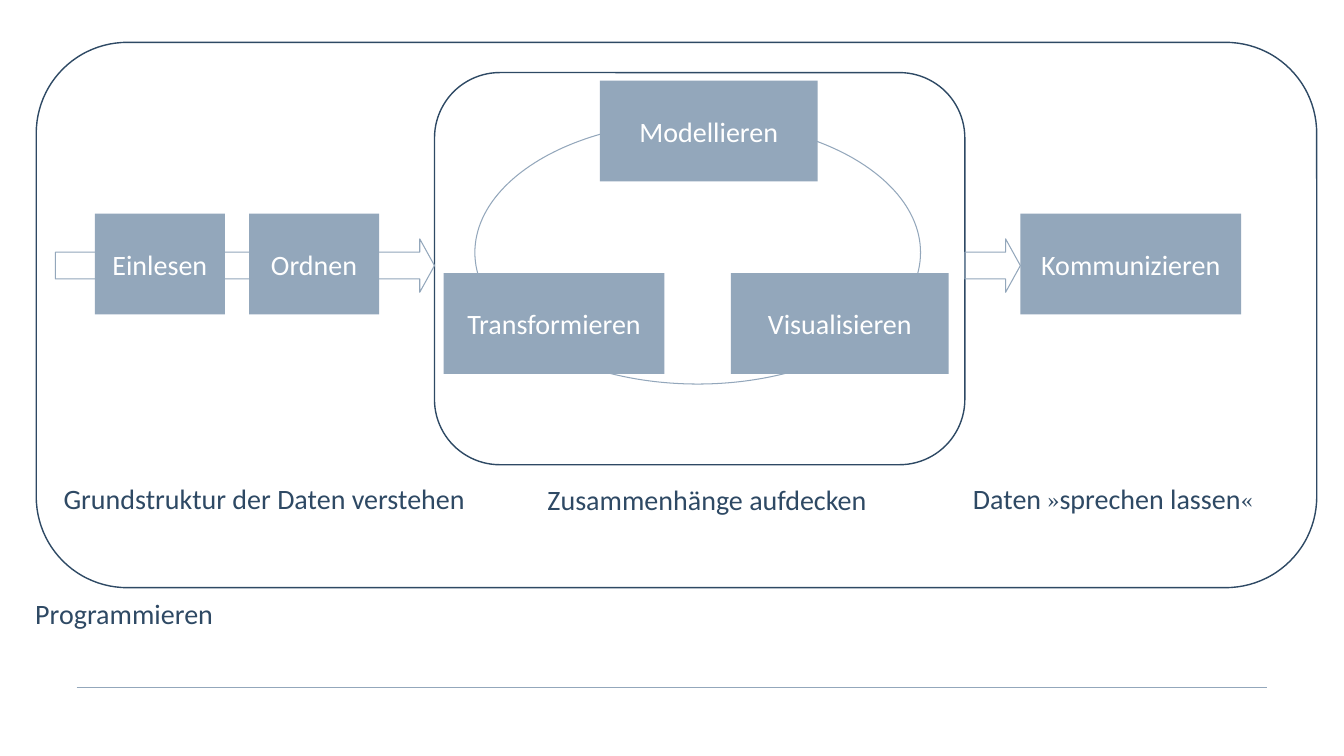
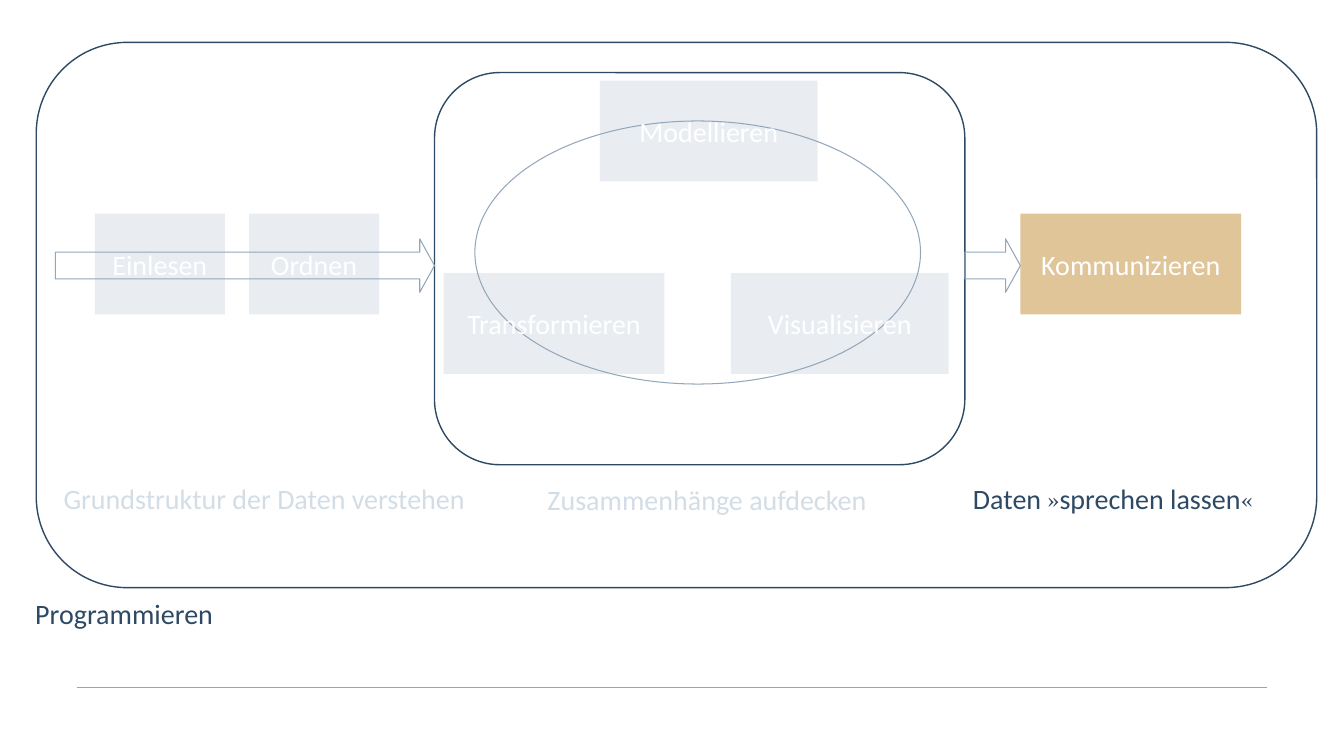
"""Build two views of the data analysis cycle, the second stressing communication."""
from dataclasses import dataclass

from lxml import etree
from pptx import Presentation
from pptx import util as u
from pptx.dml.color import RGBColor
from pptx.enum import shapes, text
from pptx.oxml.ns import qn


@dataclass(frozen=True)
class Theme:
    navy: RGBColor = RGBColor.from_string("2E4964")
    steel: RGBColor = RGBColor.from_string("93A7BB")
    pale: RGBColor = RGBColor.from_string("D3DDE6")
    sand: RGBColor = RGBColor.from_string("E0C599")
    white: RGBColor = RGBColor.from_string("FFFFFF")
    font: str = "Calibri"
    quote_font: str = "TeX Gyre Schola"
    size: u.Length = u.Pt(20)
    inset: u.Length = u.Inches(0.08)
    frame_width: u.Length = u.Pt(1)
    thin_width: u.Length = u.Pt(0.75)
    faded_opacity: int = 20


THEME = Theme()
PRESET = shapes.MSO_SHAPE
STEP_HEIGHT = 1
ARROW_TOP, ARROW_HEIGHT = 2.37, 0.53
LABEL_HEIGHT = 0.5
CYCLE_LEFT, CYCLE_WIDTH = 4.31, 5.26
CYCLE_RIGHT = CYCLE_LEFT + CYCLE_WIDTH
FOCUS_STEP = "Kommunizieren"
FOCUS_LABEL = "Daten »sprechen lassen«"

STEPS = [
    ("Einlesen", 0.94, 2.12, 1.29),
    ("Ordnen", 2.47, 2.12, 1.29),
    ("Transformieren", 4.4, 2.71, 2.19),
    ("Modellieren", 5.95, 0.8, 2.16),
    ("Visualisieren", 7.25, 2.71, 2.16),
    (FOCUS_STEP, 10.12, 2.12, 2.19),
]
LABELS = [
    ("Grundstruktur der Daten verstehen", 0.55, 4.7, 4.29),
    (FOCUS_LABEL, CYCLE_RIGHT, 4.7, 3.01),
    ("Zusammenhänge aufdecken", 5.35, 4.71, 3.36),
]


def inches(*lengths):
    return [u.Inches(length) for length in lengths]


def add_outline(slide, preset, box, color, width):
    shape = slide.shapes.add_shape(preset, *inches(*box))
    shape.shadow.inherit = False
    shape.fill.background()
    shape.line.color.rgb = color
    shape.line.width = width
    return shape


def add_arrow(slide, left, right):
    box = (left, ARROW_TOP, right - left, ARROW_HEIGHT)
    arrow = add_outline(slide, PRESET.RIGHT_ARROW, box, THEME.steel, THEME.thin_width)
    arrow.adjustments[1] = 0.276


def set_insets(frame):
    frame.margin_left = frame.margin_right = THEME.inset
    frame.margin_top = frame.margin_bottom = THEME.inset


def style_font(font, color):
    font.name = THEME.font
    font.size = THEME.size
    font.color.rgb = color


def set_opacity(shape, percent):
    color = next(shape.element.spPr.iter(qn("a:srgbClr")))
    etree.SubElement(color, qn("a:alpha")).set("val", str(percent * 1000))


def add_step(slide, caption, left, top, width, color, faded):
    step = slide.shapes.add_shape(PRESET.RECTANGLE, *inches(left, top, width, STEP_HEIGHT))
    step.shadow.inherit = False
    step.fill.solid()
    step.fill.fore_color.rgb = color
    step.line.fill.background()
    if faded:
        set_opacity(step, THEME.faded_opacity)
    frame = step.text_frame
    set_insets(frame)
    frame.vertical_anchor = text.MSO_ANCHOR.MIDDLE
    paragraph = frame.paragraphs[0]
    paragraph.text = caption
    paragraph.alignment = text.PP_ALIGN.CENTER
    style_font(paragraph.font, THEME.white)


def split_quotes(caption):
    """Split a caption into words and guillemets, which have their own font."""
    return [part for part in caption.replace("»", "|»|").replace("«", "|«|").split("|") if part]


def add_label(slide, caption, left, top, width, color):
    frame = slide.shapes.add_textbox(*inches(left, top, width, LABEL_HEIGHT)).text_frame
    set_insets(frame)
    frame.word_wrap = False
    frame.auto_size = text.MSO_AUTO_SIZE.SHAPE_TO_FIT_TEXT
    paragraph = frame.paragraphs[0]
    style_font(paragraph.font, color)
    for part in split_quotes(caption):
        run = paragraph.add_run()
        run.text = part
        style_font(run.font, color)
        if part in "»«":
            run.font.name = THEME.quote_font


def add_footer_rule(slide):
    """Draw the footer rule and move it to the layout that all slides share."""
    rule = slide.shapes.add_connector(shapes.MSO_CONNECTOR.STRAIGHT, *inches(0.76, 6.82, 12.57, 6.82))
    rule.line.color.rgb = THEME.steel
    rule.line.width = THEME.frame_width
    etree.SubElement(rule.element.spPr, qn("a:effectLst"))
    rule.element.nvCxnSpPr.cNvPr.set("id", "20")
    slide.slide_layout.shapes.element.append(rule.element)


def build_process(slide, focused):
    cycle = (CYCLE_LEFT, 0.72, CYCLE_WIDTH, 3.89)
    add_outline(slide, PRESET.ROUNDED_RECTANGLE, cycle, THEME.navy, THEME.frame_width)
    add_arrow(slide, 0.55, CYCLE_LEFT)
    add_outline(slide, PRESET.OVAL, (4.71, 1.2, 4.42, 2.61), THEME.steel, THEME.thin_width)
    for caption, left, top, width in STEPS:
        stressed = focused and caption == FOCUS_STEP
        color = THEME.sand if stressed else THEME.steel
        add_step(slide, caption, left, top, width, color, focused and not stressed)
    add_arrow(slide, CYCLE_RIGHT, 10.12)
    for caption, left, top, width in LABELS:
        faded = focused and caption != FOCUS_LABEL
        add_label(slide, caption, left, top, width, THEME.pale if faded else THEME.navy)
    process = (0.36, 0.42, 12.7, 5.41)
    add_outline(slide, PRESET.ROUNDED_RECTANGLE, process, THEME.navy, THEME.frame_width)
    add_label(slide, "Programmieren", 0.27, 5.84, 1.94, THEME.navy)


def main():
    presentation = Presentation()
    presentation.slide_width, presentation.slide_height = inches(13.33, 7.5)
    layout = presentation.slide_layouts[6]
    overview, communication = [presentation.slides.add_slide(layout) for _ in range(2)]
    add_footer_rule(overview)
    build_process(overview, focused=False)
    build_process(communication, focused=True)
    presentation.save("out.pptx")


if __name__ == "__main__":
    main()
